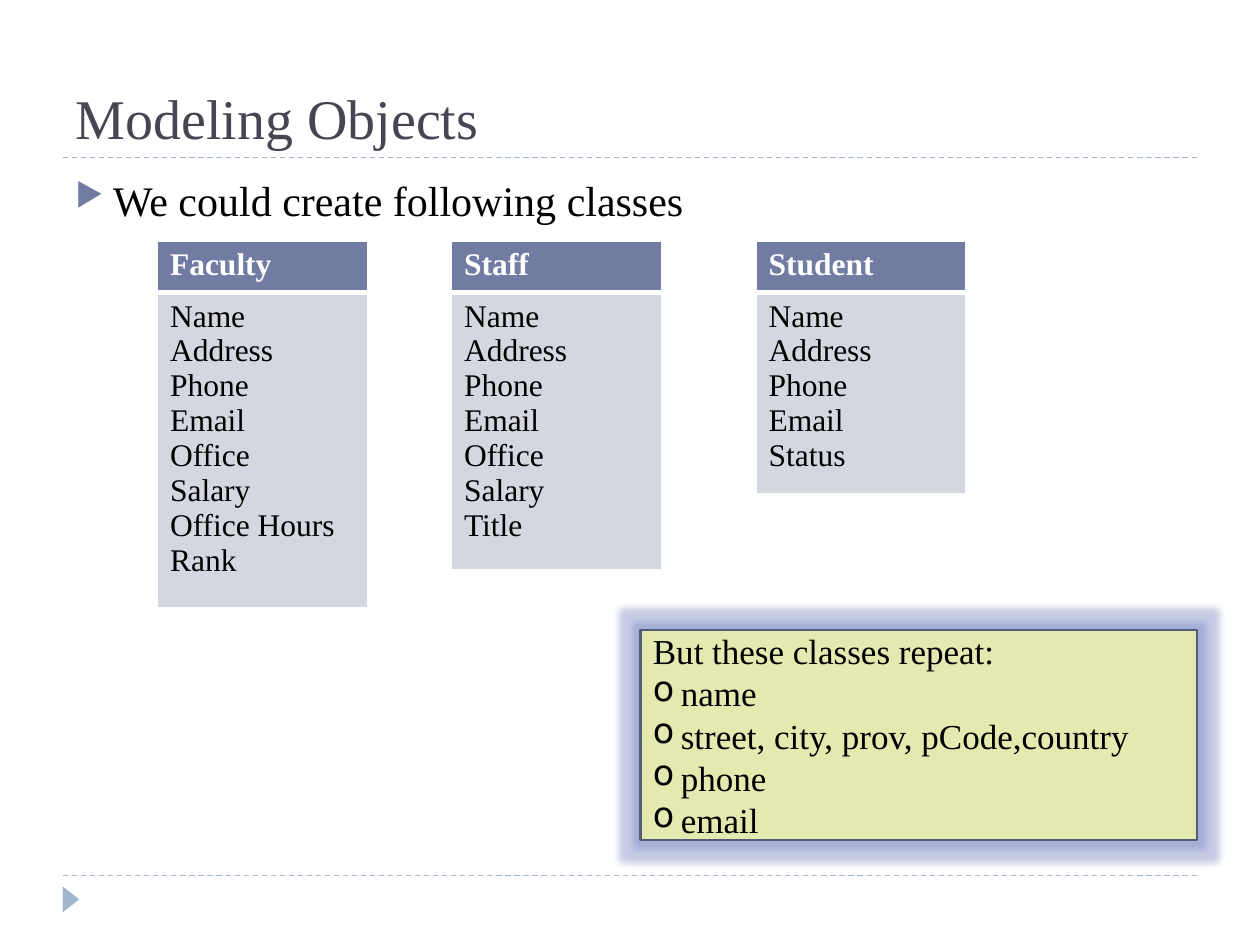
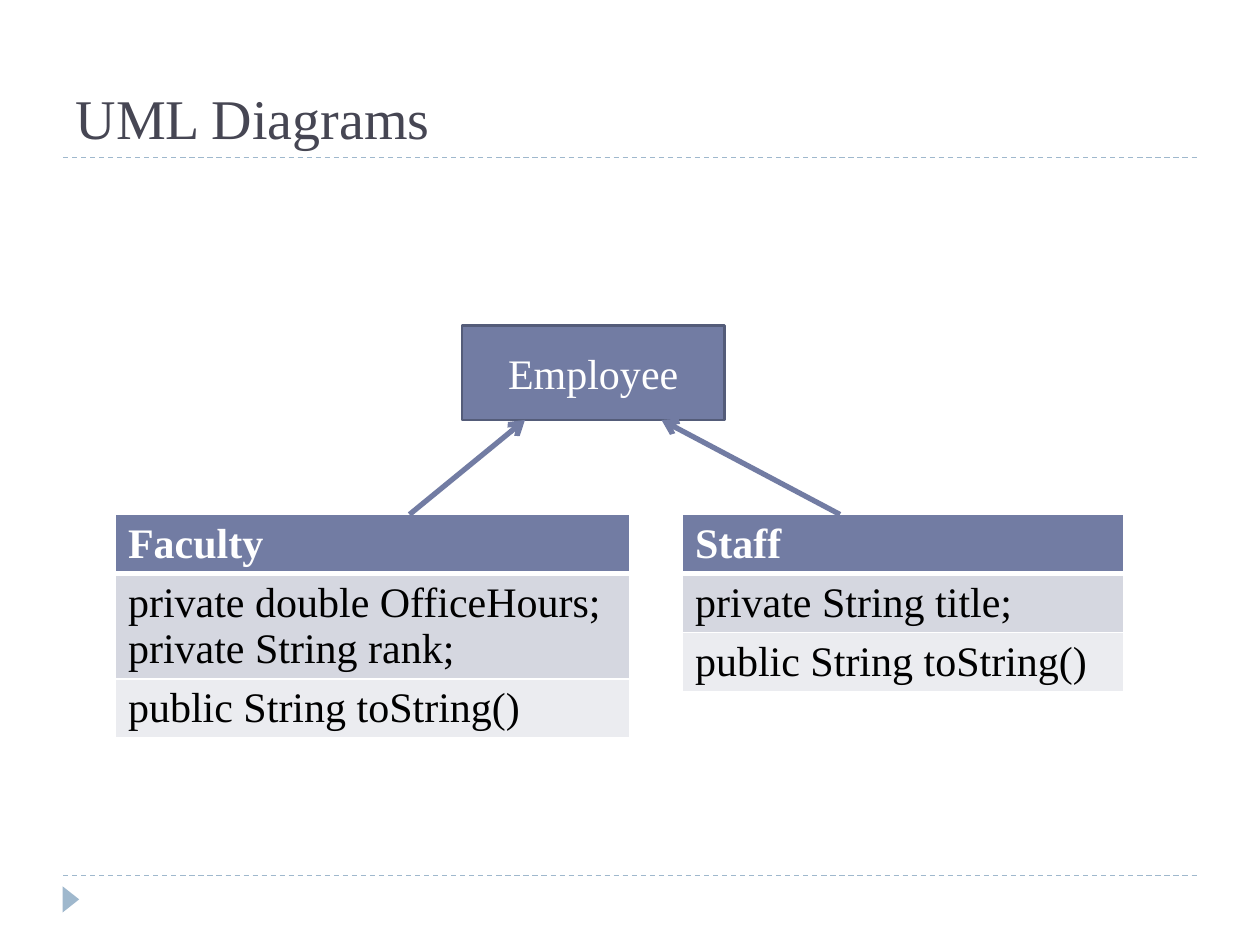
from lxml import etree
from pptx import Presentation
from pptx.dml.color import RGBColor
from pptx.enum.dml import MSO_LINE
from pptx.enum.shapes import MSO_CONNECTOR, MSO_SHAPE
from pptx.enum.text import MSO_ANCHOR, PP_ALIGN
from pptx.oxml.ns import qn
from pptx.util import Pt

RECTANGLE = MSO_SHAPE.RECTANGLE
TRIANGLE = MSO_SHAPE.ISOSCELES_TRIANGLE
STRAIGHT = MSO_CONNECTOR.STRAIGHT
DASH = MSO_LINE.DASH
LEFT, CENTER = PP_ALIGN.LEFT, PP_ALIGN.CENTER
TOP, MIDDLE, BOTTOM = MSO_ANCHOR.TOP, MSO_ANCHOR.MIDDLE, MSO_ANCHOR.BOTTOM

FONT = "Times New Roman"
COLORS = {
    "title": "464653",
    "text": "000000",
    "white": "FFFFFF",
    "rule": "9FB8CD",
    "accent": "727CA3",
    "outline": "545C79",
    "band_dark": "D5D7E0",
    "band_light": "EBECF0",
    "note": "E4E9AF",
    "glow": "7281C0",
}


def rgb(name):
    return RGBColor.from_string(COLORS[name])


def add_xml(parent, tag, **attributes):
    return etree.SubElement(parent, qn(tag), attributes)


class Deck:
    """Holds the shared style and the slide being built."""

    def __init__(self):
        self.presentation = Presentation()
        self.presentation.slide_width = Pt(720)
        self.presentation.slide_height = Pt(540)
        self.slide = None

    def add_slide(self, title):
        self.slide = self.presentation.slides.add_slide(
            self.presentation.slide_layouts[5])
        # Title
        shape = self.slide.shapes.title
        shape.left, shape.top, shape.width, shape.height = (
            Pt(36), Pt(12), Pt(648), Pt(78))
        self.place_text(shape.text_frame, [title], 32, "title", anchor=BOTTOM)
        # Dashed rules and the corner marker
        for y in (90, 500.4):
            self.line((36, y), (684, y), "rule", 0.75).line.dash_style = DASH
        marker = self.shape(TRIANGLE, 33, 509.2, 15, 9.5, "rule")
        marker.rotation = 90

    def place_text(self, frame, lines, size, color, align=LEFT, anchor=TOP):
        frame.word_wrap = True
        frame.vertical_anchor = anchor
        self.format_text(frame, lines, size, color, align=align)

    def format_text(self, frame, lines, size, color, bold=False, align=LEFT):
        frame.text = "\n".join(lines)
        for paragraph in frame.paragraphs:
            paragraph.alignment = align
            for run in paragraph.runs:
                run.font.name = FONT
                run.font.size = Pt(size)
                run.font.bold = bold
                run.font.color.rgb = rgb(color)

    def bullet(self, paragraph, character, indent, color=None, percent=None):
        properties = paragraph._p.get_or_add_pPr()
        properties.set("marL", str(Pt(indent)))
        properties.set("indent", str(-Pt(indent)))
        if color:
            add_xml(add_xml(properties, "a:buClr"), "a:srgbClr", val=COLORS[color])
        if percent:
            add_xml(properties, "a:buSzPct", val=str(percent * 1000))
        add_xml(properties, "a:buChar", char=character)

    def body(self, text):
        box = self.slide.shapes.add_textbox(Pt(36), Pt(96), Pt(648), Pt(389))
        self.place_text(box.text_frame, [text], 24, "text")
        paragraph = box.text_frame.paragraphs[0]
        paragraph.space_before = Pt(6)
        self.bullet(paragraph, "\u25b6", 21.6, "accent", 76)

    def shape(self, kind, left, top, width, height, fill, outline=None):
        shape = self.slide.shapes.add_shape(
            kind, Pt(left), Pt(top), Pt(width), Pt(height))
        shape.shadow.inherit = False
        shape.fill.solid()
        shape.fill.fore_color.rgb = rgb(fill)
        if outline:
            shape.line.color.rgb = rgb(outline)
            shape.line.width = Pt(1.5)
        else:
            shape.line.fill.background()
        return shape

    def class_box(self, name, left, top, width, height):
        box = self.shape(RECTANGLE, left, top, width, height, "accent", "outline")
        self.place_text(box.text_frame, [name], 24, "white", CENTER, MIDDLE)

    def note(self, heading, items, left, top, width, height):
        box = self.shape(RECTANGLE, left, top, width, height, "note", "outline")
        self.place_text(box.text_frame, [heading] + items, 20, "text", anchor=MIDDLE)
        for paragraph in box.text_frame.paragraphs[1:]:
            self.bullet(paragraph, "o", 16)
        # Soft glow around the box
        effects = box._element.spPr.find(qn("a:effectLst"))
        glow = add_xml(effects, "a:glow", rad=str(Pt(8)))
        color = add_xml(glow, "a:srgbClr", val=COLORS["glow"])
        add_xml(color, "a:alpha", val="40000")

    def line(self, start, end, color, width):
        line = self.slide.shapes.add_connector(
            STRAIGHT, *(Pt(value) for value in start + end))
        line.line.color.rgb = rgb(color)
        line.line.width = Pt(width)
        add_xml(line._element.spPr, "a:effectLst")
        return line

    def arrow(self, start, end):
        arrow = self.line(start, end, "accent", 3)
        add_xml(arrow._element.spPr.find(qn("a:ln")), "a:tailEnd", type="arrow")

    def borders(self, cell, bottom):
        properties = cell._tc.get_or_add_tcPr()
        for side, width in (("L", 1), ("R", 1), ("T", 1), ("B", bottom)):
            border = add_xml(properties, "a:ln" + side, w=str(Pt(width)))
            add_xml(add_xml(border, "a:solidFill"), "a:srgbClr", val=COLORS["white"])

    def class_table(self, name, sections, left, top, width, size):
        """Draw a class: a header row, then one row for each list of members."""
        rows = [[name]] + sections
        heights = [max(29.2, len(lines) * size * 1.1 + 7.2) for lines in rows]
        table = self.slide.shapes.add_table(
            len(rows), 1, Pt(left), Pt(top), Pt(width), Pt(sum(heights))).table
        fills = ("accent", "band_dark", "band_light")
        for index, (lines, height, fill) in enumerate(zip(rows, heights, fills)):
            header = index == 0
            table.rows[index].height = Pt(height)
            cell = table.cell(index, 0)
            self.borders(cell, 3 if header else 1)
            cell.fill.solid()
            cell.fill.fore_color.rgb = rgb(fill)
            self.format_text(cell.text_frame, lines, size,
                             "white" if header else "text", header)


deck = Deck()

# Slide 1: three classes and what they repeat
deck.add_slide("Modeling Objects")
deck.body("We could create following classes")
shared = ["Name", "Address", "Phone", "Email"]
employed = shared + ["Office", "Salary"]
for name, members, left in (
        ("Faculty", employed + ["Office Hours", "Rank"], 90),
        ("Staff", employed + ["Title"], 258),
        ("Student", shared + ["Status"], 432)):
    deck.class_table(name, [members], left, 138, 120, 18)
deck.note("But these classes repeat:",
          ["name", "street, city, prov, pCode,country", "phone", "email"],
          366, 360, 318, 120)

# Slide 2: Faculty and Staff inherit from Employee
deck.add_slide("UML Diagrams")
method = ["public String toString()"]
deck.class_table("Faculty",
                 [["private double OfficeHours;", "private String rank;"], method],
                 66, 294, 294, 24)
deck.class_box("Employee", 264, 186, 150, 54)
deck.class_table("Staff", [["private String title;"], method], 390, 294, 252, 24)
deck.arrow((234, 294), (300, 240))
deck.arrow((480, 294), (378, 240))

deck.presentation.save("out.pptx")
